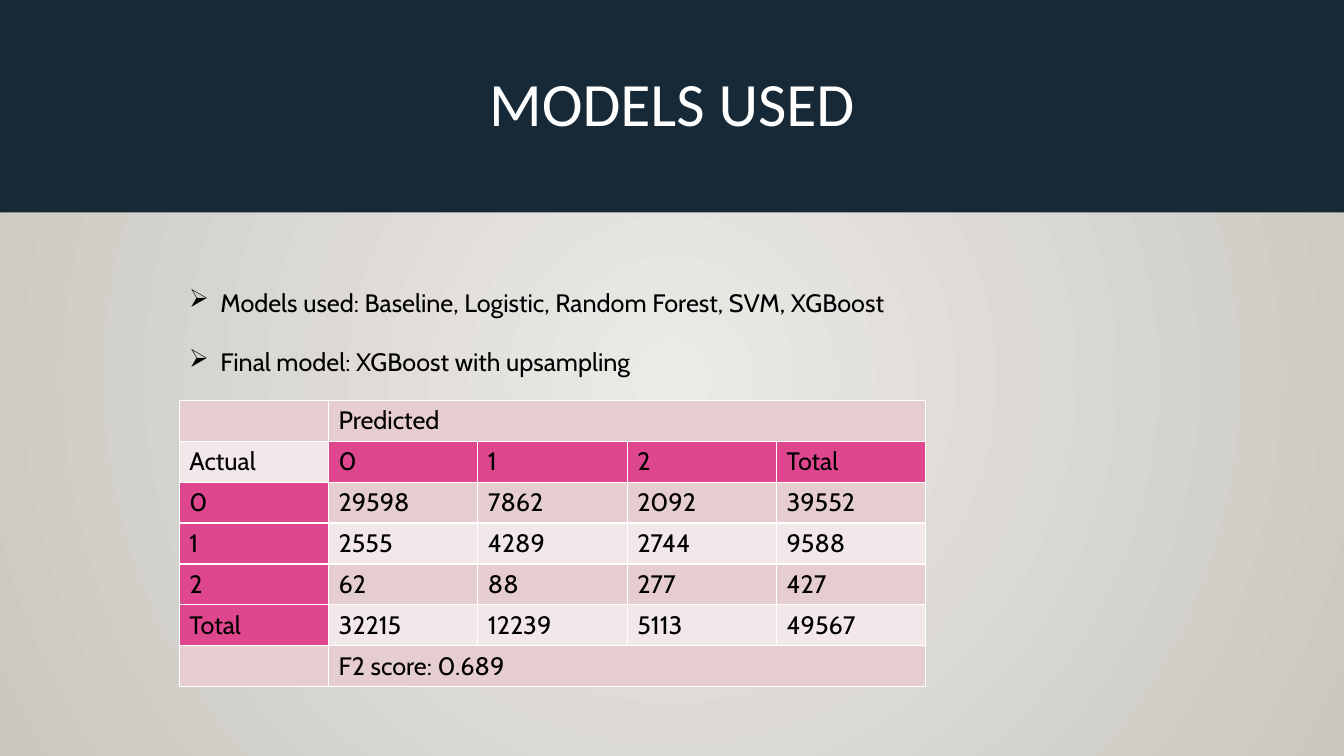
from lxml import etree
from pptx import Presentation, util as u
from pptx.dml.color import RGBColor
from pptx.enum import shapes, text
from pptx.oxml import parse_xml
from pptx.oxml.ns import qn

NS = 'xmlns:a="http://schemas.openxmlformats.org/drawingml/2006/main"'
COLUMNS, ROWS = 45, 74


def colour(hex_code):
    return RGBColor.from_string(hex_code)


class Deck:
    navy, white, black = "172937", "FFFFFF", "000000"
    accent, bands = "DE478E", ("E6CDCF", "F3E8E9")
    glow = ("ECEAE7", "CAC7C1")
    title_font, body_font = "Calibri", "Cabin"

    def __init__(self):
        self.show = Presentation()
        self.show.slide_width, self.show.slide_height = u.Inches(13.33), u.Inches(7.5)
        self.slide = self.show.slides.add_slide(self.show.slide_layouts[6])

    def box(self, col, row, cols, rows):
        """Turn grid columns and rows into left, top, width and height."""
        x, y = self.show.slide_width / COLUMNS, self.show.slide_height / ROWS
        return [round(v) for v in (col * x, row * y, cols * x, rows * y)]

    def style(self, paragraph, size, font, hex_code):
        for run in paragraph.runs:
            run.font.size, run.font.name = u.Pt(size), font
            run.font.color.rgb = colour(hex_code)

    def background(self):
        fill = self.slide.background.fill
        fill.gradient()
        for stop, position, hex_code in zip(fill.gradient_stops, (0, 1), self.glow):
            stop.position, stop.color.rgb = position, colour(hex_code)
        # Radial spread from the centre
        linear = next(self.slide.element.iter(qn("a:lin")))
        linear.getparent().replace(linear, parse_xml(
            f'<a:path {NS} path="circle">'
            '<a:fillToRect l="50000" t="50000" r="50000" b="50000"/></a:path>'))

    def title(self, wording, rows):
        banner = self.slide.shapes.add_shape(
            shapes.MSO_SHAPE.RECTANGLE, *self.box(0, 0, COLUMNS, rows))
        banner.shadow.inherit = False
        banner.fill.solid()
        banner.fill.fore_color.rgb = colour(self.navy)
        banner.line.fill.background()
        frame = banner.text_frame
        frame.text = wording
        frame.vertical_anchor = text.MSO_ANCHOR.MIDDLE
        heading = frame.paragraphs[0]
        heading.alignment, heading.line_spacing = text.PP_ALIGN.CENTER, 0.9
        self.style(heading, 44, self.title_font, self.white)

    def bullets(self, points, *place):
        frame = self.slide.shapes.add_textbox(*self.box(*place)).text_frame
        frame.word_wrap = True
        frame.text = "\n".join(points)
        for index, point in enumerate(frame.paragraphs):
            props = point._p.get_or_add_pPr()
            indent = u.Inches(0.31)
            props.set("marL", str(indent))
            props.set("indent", str(-indent))
            etree.SubElement(props, qn("a:buChar")).set("char", "➢")
            if index:
                point.space_before = u.Pt(21)
            self.style(point, 18, self.body_font, self.black)

    def cell(self, cell, wording, fill):
        props = cell._tc.get_or_add_tcPr()
        for side in "LRTB":
            props.append(parse_xml(
                f'<a:ln{side} {NS} w="12700"><a:solidFill>'
                f'<a:srgbClr val="{self.white}"/></a:solidFill></a:ln{side}>'))
        cell.fill.solid()
        cell.fill.fore_color.rgb = colour(fill)
        cell.text_frame.text = wording
        self.style(cell.text_frame.paragraphs[0], 18, self.body_font, self.black)

    def confusion_matrix(self, lines, col, row, cell_cols, cell_rows):
        count, last = len(lines[0]), len(lines) - 1
        place = self.box(col, row, cell_cols * count, cell_rows * len(lines))
        table = self.slide.shapes.add_table(len(lines), count, *place).table
        table.first_row = table.horz_banding = False
        for r, line in enumerate(lines):
            for c, wording in enumerate(line):
                # Class labels run along the second row and down the first column
                is_label = (r == 1 and c > 0) or (1 < r < last and c == 0)
                self.cell(table.cell(r, c), wording,
                          self.accent if is_label else self.bands[r % 2])
        # The top and bottom rows span all the class columns
        for r in (0, last):
            table.cell(r, 1).merge(table.cell(r, count - 1))


def main():
    deck = Deck()
    deck.background()

    # Heading
    deck.title("MODELS USED", 20.8)

    # Confusion matrix
    deck.confusion_matrix([
        ["", "Predicted", "", "", ""],
        ["Actual", "0", "1", "2", "Total"],
        ["0", "29598", "7862", "2092", "39552"],
        ["1", "2555", "4289", "2744", "9588"],
        ["2", "62", "88", "277", "427"],
        ["Total", "32215", "12239", "5113", "49567"],
        ["", "F2 score: 0.689", "", "", ""],
    ], 6, 39.2, 5, 4)

    # Models
    deck.bullets([
        "Models used: Baseline, Logistic, Random Forest, SVM, XGBoost",
        "Final model: XGBoost with upsampling",
    ], 6, 27.6, 32, 10)

    deck.show.save("out.pptx")


if __name__ == "__main__":
    main()
